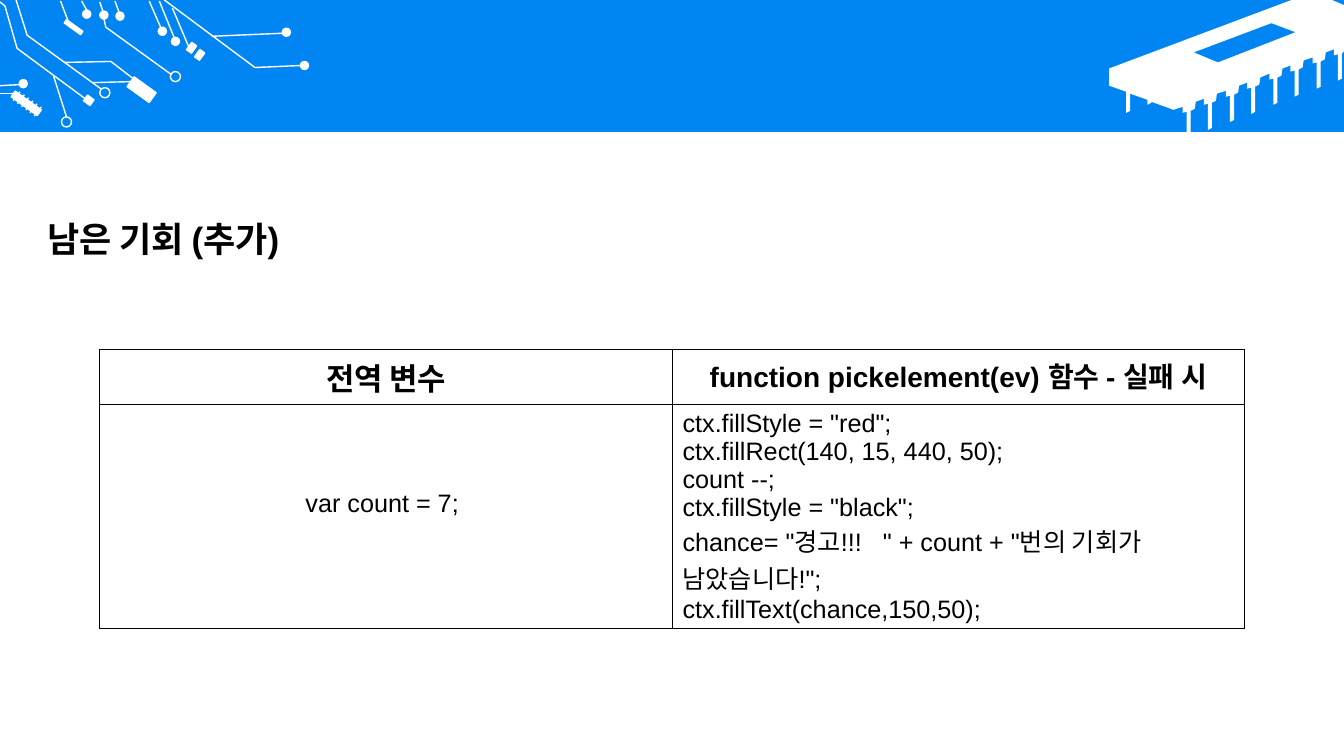
from dataclasses import dataclass

from lxml import etree
from pptx import Presentation
from pptx import util as u
from pptx.dml.color import RGBColor
from pptx.enum import shapes, text
from pptx.oxml import ns


@dataclass(frozen=True)
class Theme:
    font: str = "Arial"
    blue: str = "0085F2"
    white: str = "FFFFFF"
    black: str = "000000"
    title: int = 25
    header: tuple = (22, 20)
    code: int = 18
    line: int = 1
    tilt: float = 35.7


THEME = Theme()
COLUMNS, ROWS = 1333, 750  # fine grid over the slide
CELL = u.Inches(0.01)

# Circuit parts: left, top, width, height in grid cells
PARTS = [(127, 83, 27, 12), (63, 25, 20, 4), (84, 96, 8, 7),
         (187, 43, 6, 9), (195, 50, 6, 9), (10, 99, 32, 7)]
DOTS = [(298, 61), (280, 28), (82, 10), (99, 11), (115, 12), (19, 79), (170, 37), (157, 27)]
RINGS = [(169, 71), (99, 87), (61, 116)]
DOT, RING = 8, 10
WIRES = [
    [(60, 1), (68, 22)], [(81, 1), (86, 10)], [(99, 2), (102, 11)], [(114, 1), (118, 12)],
    [(148, 1), (161, 31)], [(158, 1), (173, 38)], [(210, 36), (280, 33)],
    [(171, 8), (187, 46)], [(0, 85), (19, 84)], [(0, 93), (14, 93)],
    [(53, 75), (66, 116)], [(92, 82), (130, 81)],
    [(163, 0), (253, 67), (299, 65)],
    [(16, 0), (27, 35), (100, 88)],
    [(0, 2), (5, 6), (17, 48), (86, 99)],
    [(64, 62), (110, 61), (132, 78)],
    [(103, 18), (105, 27), (170, 74)],
]
TEETH = [[(13 + 4.2 * i, 100 + 3 * i), (20 + 4.2 * i, 91 + 3 * i)] for i in range(6)]

# Chip: slot, body edge and one pin that repeats along the lower edge
SLOT = [(1261, 23), (1184, 52), (1208, 62), (1285, 32)]
PIN = [(1173, 106), (1173, 112), (1177, 111), (1177, 137),
       (1181, 135), (1181, 110), (1185, 108), (1186, 101)]
PIN_COUNT, PIN_STEP = 8, (150 / 7, -57 / 7)
CHIP_LEFT = [(1164, 109), (1142, 101), (1142, 102), (1138, 104), (1138, 99), (1121, 93),
             (1121, 110), (1117, 112), (1117, 91), (1100, 85), (1100, 68)]
CHIP_TOP = [(1281, 0), (1321, 0), (1333, 5)]

TABLE_LEFT, TABLE_TOP = 99, 347
TABLE_COLUMNS, TABLE_ROWS = (568, 567), (54, 222)
HEADERS = ["전역 변수", "function pickelement(ev) 함수 - 실패 시"]
VARIABLE = "var count = 7;"
CODE = """ctx.fillStyle = "red";
ctx.fillRect(140, 15, 440, 50);
count --;
ctx.fillStyle = "black";
chance= "경고!!!   " + count + "번의 기회가 남았습니다!";
ctx.fillText(chance,150,50);"""


def grid(*cells):
    return [round(cell * CELL) for cell in cells]


def paint(shape, fill=None, line=None):
    shape.shadow.inherit = False
    if fill:
        shape.fill.solid()
        shape.fill.fore_color.rgb = RGBColor.from_string(fill)
    else:
        shape.fill.background()
    if line:
        shape.line.color.rgb = RGBColor.from_string(line)
        shape.line.width = u.Pt(THEME.line)
    else:
        shape.line.fill.background()


def add_block(slide, kind, box, fill=None, line=None, rotation=0):
    shape = slide.shapes.add_shape(kind, *grid(*box))
    shape.rotation = rotation
    paint(shape, fill, line)
    return shape


def add_outline(slide, contours, closed, fill=None, line=None):
    builder = None
    for contour in contours:
        if builder is None:
            builder = slide.shapes.build_freeform(*contour[0], scale=CELL)
        else:
            builder.move_to(*contour[0])
        builder.add_line_segments(contour[1:], close=closed)
    paint(builder.convert_to_shape(), fill, line)


def add_wire(slide, points):
    if len(points) > 2:
        add_outline(slide, [points], False, line=THEME.white)
        return
    (left, top), (right, bottom) = points
    wire = slide.shapes.add_connector(
        shapes.MSO_CONNECTOR.STRAIGHT, *grid(left, top, right, bottom))
    wire.line.color.rgb = RGBColor.from_string(THEME.white)
    wire.line.width = u.Pt(THEME.line)
    etree.SubElement(wire._element.spPr, ns.qn("a:effectLst"))


def write(text_frame, words, size, bold, align):
    text_frame.text = words
    for paragraph in text_frame.paragraphs:
        paragraph.alignment = align
        for run in paragraph.runs:
            run.font.name = THEME.font
            run.font.size = u.Pt(size)
            run.font.bold = bold
            run.font.color.rgb = RGBColor.from_string(THEME.black)


def style_cell(cell):
    properties = cell._tc.get_or_add_tcPr()
    for side in ("a:lnL", "a:lnR", "a:lnT", "a:lnB"):
        border = etree.SubElement(properties, ns.qn(side), w=str(u.Pt(THEME.line)))
        fill = etree.SubElement(border, ns.qn("a:solidFill"))
        etree.SubElement(fill, ns.qn("a:srgbClr"), val=THEME.black)
    cell.fill.solid()
    cell.fill.fore_color.rgb = RGBColor.from_string(THEME.white)


def add_chip(slide):
    pins = [(min(x + i * PIN_STEP[0], COLUMNS), y + i * PIN_STEP[1])
            for i in reversed(range(PIN_COUNT)) for x, y in reversed(PIN)]
    add_outline(slide, [CHIP_TOP + pins + CHIP_LEFT, SLOT], True, fill=THEME.white)


def add_circuit(slide):
    kinds = shapes.MSO_SHAPE
    for box in PARTS:
        add_block(slide, kinds.RECTANGLE, box, THEME.white, THEME.white, THEME.tilt)
    for spots, size, fill in ((DOTS, DOT, THEME.white), (RINGS, RING, None)):
        for left, top in spots:
            add_block(slide, kinds.OVAL, (left, top, size, size), fill, THEME.white)
    for points in WIRES + TEETH:
        add_wire(slide, points)


def add_code_table(slide):
    box = grid(TABLE_LEFT, TABLE_TOP, sum(TABLE_COLUMNS), sum(TABLE_ROWS))
    table = slide.shapes.add_table(len(TABLE_ROWS), len(TABLE_COLUMNS), *box).table
    table.first_row = table.horz_banding = False
    for column, width in zip(table.columns, grid(*TABLE_COLUMNS)):
        column.width = width
    for row, height in zip(table.rows, grid(*TABLE_ROWS)):
        row.height = height
    for cell in table.iter_cells():
        style_cell(cell)

    # Header row
    for index, (words, size) in enumerate(zip(HEADERS, THEME.header)):
        write(table.cell(0, index).text_frame, words, size, True, text.PP_ALIGN.CENTER)

    # Code row
    variable = table.cell(1, 0)
    variable.vertical_anchor = text.MSO_ANCHOR.MIDDLE
    variable.margin_right, variable.margin_bottom = grid(18, 31)
    write(variable.text_frame, VARIABLE, THEME.code, False, text.PP_ALIGN.CENTER)
    write(table.cell(1, 1).text_frame, CODE, THEME.code, False, text.PP_ALIGN.LEFT)


def add_title(slide):
    title = add_block(slide, shapes.MSO_SHAPE.RECTANGLE, (37, 189, 420, 96),
                      THEME.white, THEME.white)
    title.text_frame.vertical_anchor = text.MSO_ANCHOR.MIDDLE
    title.text_frame.word_wrap = True
    write(title.text_frame, "남은 기회 (추가)", THEME.title, True, text.PP_ALIGN.LEFT)


def main():
    presentation = Presentation()
    presentation.slide_width, presentation.slide_height = grid(COLUMNS, ROWS)
    slide = presentation.slides.add_slide(presentation.slide_layouts[6])

    # Banner
    add_block(slide, shapes.MSO_SHAPE.RECTANGLE, (0, 0, COLUMNS, 131), THEME.blue)
    add_chip(slide)
    add_circuit(slide)

    # Content
    add_code_table(slide)
    add_title(slide)
    presentation.save("out.pptx")


if __name__ == "__main__":
    main()
